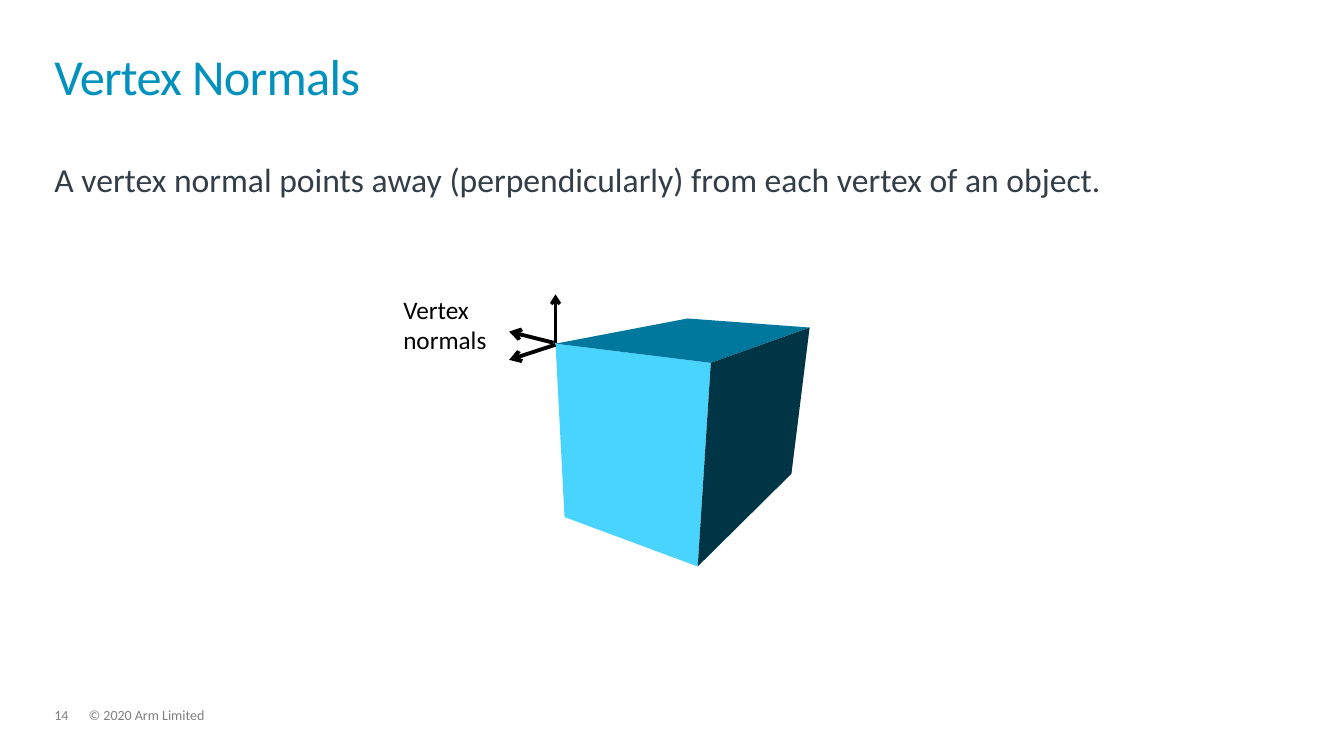
"""Build the Vertex Normals slide."""
from lxml.etree import SubElement
from pptx import Presentation
from pptx.dml.color import RGBColor
from pptx.enum.shapes import MSO_CONNECTOR
from pptx.enum.text import MSO_ANCHOR
from pptx.oxml.ns import qn
from pptx.util import Inches, Pt

COLORS = {
    "title": "0091BD",
    "body": "333E48",
    "footer": "7F7F7F",
    "black": "000000",
    "front": "49D3FF",
    "top": "00779C",
    "side": "003545",
}
CORNERS = {
    "front_left": (5.51, 3.41),
    "front_right": (7.05, 3.6),
    "bottom_right": (6.92, 5.62),
    "bottom_left": (5.6, 5.13),
    "back_left": (6.82, 3.16),
    "back_right": (8.03, 3.25),
    "back_bottom": (7.85, 4.7),
}
FACES = {
    "front": ("front_left", "front_right", "bottom_right", "bottom_left"),
    "top": ("front_left", "back_left", "back_right", "front_right"),
    "side": ("front_right", "back_right", "back_bottom", "bottom_right"),
}
NORMALS = [
    ((5.51, 3.42), (5.05, 3.57), 2.75),
    ((5.49, 3.4), (5.05, 3.29), 2.75),
    ((5.51, 3.4), (5.51, 2.92), 2.25),
]


def color(name):
    return RGBColor.from_string(COLORS[name])


def add_text(slide, box, lines, size, color_name, line_spacing=1.0,
             anchor=MSO_ANCHOR.TOP, wrap=True, tracking=None):
    tf = slide.shapes.add_textbox(*map(Inches, box)).text_frame
    tf.margin_left = tf.margin_top = tf.margin_right = tf.margin_bottom = 0
    tf.word_wrap = wrap
    tf.vertical_anchor = anchor
    for i, line in enumerate(lines):
        p = tf.add_paragraph() if i else tf.paragraphs[0]
        r = p.add_run()
        r.text = line
        p.line_spacing = line_spacing
        p.font.name = "Calibri"
        p.font.size = Pt(size)
        p.font.color.rgb = color(color_name)
        if tracking is not None:
            r._r.get_or_add_rPr().set("spc", str(int(tracking * 100)))


def add_face(slide, name, corners):
    points = [tuple(map(Inches, CORNERS[c])) for c in corners]
    builder = slide.shapes.build_freeform(*points[0])
    builder.add_line_segments(points[1:], close=True)
    sp = builder.convert_to_shape()
    sp.shadow.inherit = False
    sp.fill.solid()
    sp.fill.fore_color.rgb = color(name)
    sp.line.fill.background()


def add_arrow(slide, start, end, width):
    line = slide.shapes.add_connector(
        MSO_CONNECTOR.STRAIGHT, *map(Inches, start + end))
    line.line.color.rgb = color("black")
    line.line.width = Pt(width)
    SubElement(line.line._get_or_add_ln(), qn("a:tailEnd"), type="arrow")
    SubElement(line._element.spPr, qn("a:effectLst"))


def main():
    prs = Presentation()
    prs.slide_width, prs.slide_height = Inches(13.33), Inches(7.5)
    slide = prs.slides.add_slide(prs.slide_layouts[6])

    add_text(slide, (0.88, 7.03, 9.13, 0.15), ["© 2020 Arm Limited"],
             10, "footer", 0.9)
    add_text(slide, (0.54, 7.03, 0.34, 0.15), ["14"], 10, "footer", 0.9)
    add_text(slide, (0.54, 1.62, 12.23, 4.47),
             ["A vertex normal points away (perpendicularly) "
              "from each vertex of an object."], 24, "body", 0.9)
    add_text(slide, (0.54, 0.32, 12.23, 0.73), ["Vertex Normals"],
             36, "title", 0.85, MSO_ANCHOR.BOTTOM, tracking=-0.5)

    for name, corners in FACES.items():
        add_face(slide, name, corners)
    for start, end, width in NORMALS:
        add_arrow(slide, start, end, width)
    add_text(slide, (4, 2.92, 1, 1), ["Vertex", "normals"], 18, "black",
             wrap=False)

    prs.save("out.pptx")


if __name__ == "__main__":
    main()
